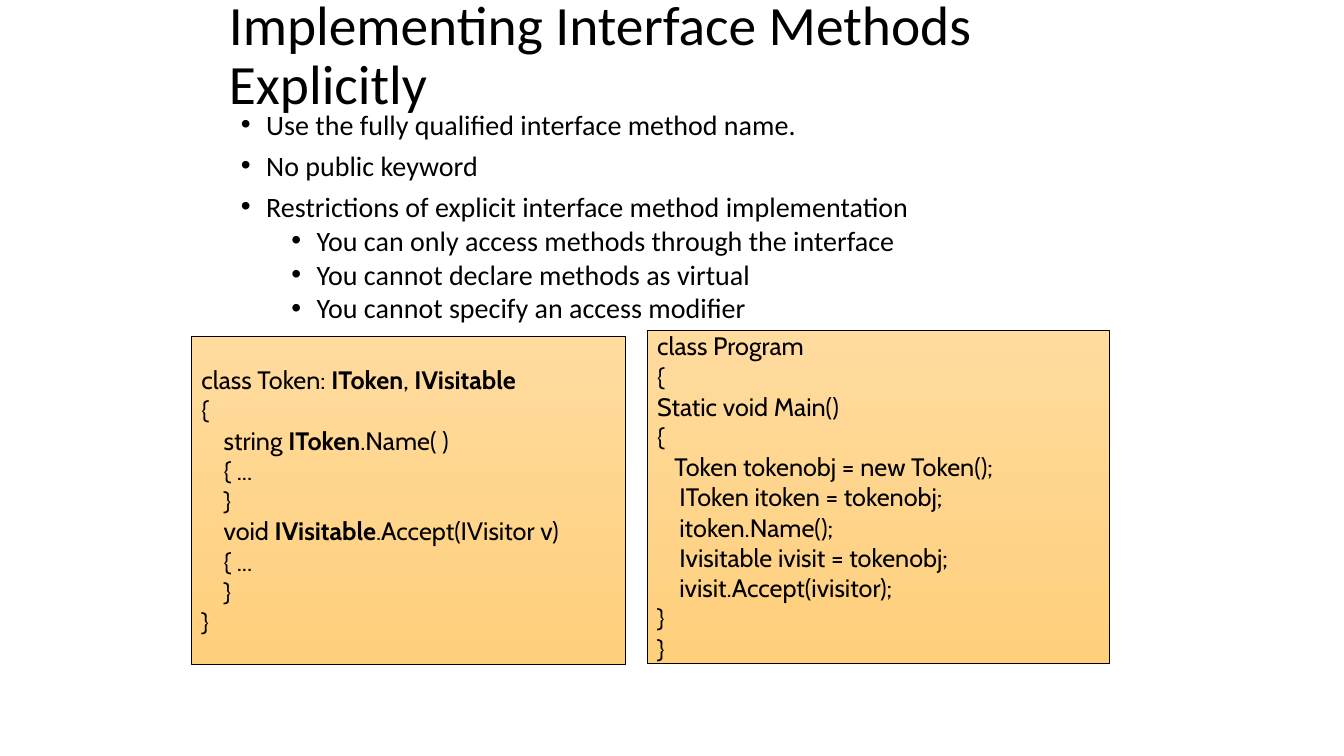
from dataclasses import dataclass

from lxml.etree import SubElement
from pptx import Presentation
from pptx.dml.color import RGBColor
from pptx.enum.shapes import MSO_SHAPE
from pptx.enum.text import MSO_ANCHOR, MSO_AUTO_SIZE, PP_ALIGN
from pptx.oxml.ns import qn
from pptx.util import Inches, Pt


@dataclass(frozen=True)
class Theme:
    ink: RGBColor = RGBColor(0, 0, 0)
    top: RGBColor = RGBColor(0xFF, 0xDB, 0x9E)
    base: RGBColor = RGBColor(0xFF, 0xD0, 0x7C)
    font: str = "Calibri"
    code: str = "Cabin"
    title: float = 39.6
    body: float = 20
    small: float = 18


THEME = Theme()
STEP = 0.22  # one level of code indent, in inches

TITLE = "Implementing Interface Methods Explicitly"

# Each point is (level, text)
POINTS = [
    (0, "Use the fully qualified interface method name."),
    (0, "No public keyword"),
    (0, "Restrictions of explicit interface method implementation"),
    (1, "You can only access methods through the interface"),
    (1, "You cannot declare methods as virtual"),
    (1, "You cannot specify an access modifier"),
]

# Each code line is (indent, text); text between asterisks is bold
TOKEN = [
    (0, "class Token: *IToken*, *IVisitable*"),
    (0, "{"),
    (STEP, "string *IToken*.Name( )"),
    (STEP, "{ ..."),
    (STEP, "}"),
    (STEP, "void *IVisitable*.Accept(IVisitor v)"),
    (STEP, "{ ..."),
    (STEP, "}"),
    (0, "}"),
]
PROGRAM = [
    (0, "class Program"),
    (0, "{"),
    (0, "Static void Main()"),
    (0, "{"),
    (0.17, "Token tokenobj = new Token();"),
    (STEP, "IToken itoken = tokenobj;"),
    (STEP, "itoken.Name();"),
    (STEP, "Ivisitable ivisit = tokenobj;"),
    (STEP, "ivisit.Accept(ivisitor);"),
    (0, "}"),
    (0, "}"),
]


def write(para, text, font=THEME.font, size=THEME.body, line=1.0,
          before=0, indent=0, hang=0, bullet=None):
    """Fill a paragraph with text and set its format."""
    para.alignment = PP_ALIGN.LEFT
    para.line_spacing = line
    para.space_before = Pt(before)
    props = para._p.get_or_add_pPr()
    props.set("marL", str(Inches(indent)))
    props.set("indent", str(Inches(-hang)))
    if bullet:
        SubElement(props, qn("a:buFont")).set("typeface", "Arial")
        SubElement(props, qn("a:buChar")).set("char", bullet)
    for i, part in enumerate(text.split("*")):
        if part:
            run = para.add_run()
            run.text = part
            run.font.name = font
            run.font.size = Pt(size)
            run.font.bold = i % 2 == 1
            run.font.color.rgb = THEME.ink


def place(shape, left, top, width, height, anchor):
    """Move a shape and return its text frame."""
    shape.left, shape.top = Inches(left), Inches(top)
    shape.width, shape.height = Inches(width), Inches(height)
    frame = shape.text_frame
    frame.word_wrap = True
    frame.auto_size = MSO_AUTO_SIZE.NONE
    frame.vertical_anchor = anchor
    return frame


def paras(frame, items):
    """Pair each item with a paragraph of the frame."""
    for i, item in enumerate(items):
        yield frame.add_paragraph() if i else frame.paragraphs[0], item


def add_title(slide):
    frame = place(slide.shapes.title, 2.17, 0.25, 9, 0.63, MSO_ANCHOR.MIDDLE)
    write(frame.paragraphs[0], TITLE, size=THEME.title, line=0.9)


def add_list(slide):
    frame = place(slide.placeholders[1], 2.29, 1.08, 8.52, 5.87,
                  MSO_ANCHOR.TOP)
    for para, (level, text) in paras(frame, POINTS):
        para.level = level
        write(para, text, line=0.8, before=5 if level else 10,
              indent=0.25 + 0.5 * level, hang=0.25, bullet="•")


def add_code(slide, lines, left, top, width, height):
    box = slide.shapes.add_shape(MSO_SHAPE.RECTANGLE, 0, 0, 0, 0)
    box.shadow.inherit = False
    # Gradient runs from top to bottom
    box.fill.gradient()
    box.fill.gradient_angle = 270
    for stop, color in zip(box.fill.gradient_stops, (THEME.top, THEME.base)):
        stop.color.rgb = color
    box.line.color.rgb = THEME.ink
    box.line.width = Pt(0.5)
    frame = place(box, left, top, width, height, MSO_ANCHOR.MIDDLE)
    for para, (indent, text) in paras(frame, lines):
        write(para, text, font=THEME.code, size=THEME.small, indent=indent)


def main():
    deck = Presentation()
    deck.slide_width, deck.slide_height = Inches(13.33), Inches(7.5)
    slide = deck.slides.add_slide(deck.slide_layouts[1])
    add_title(slide)
    add_list(slide)
    add_code(slide, TOKEN, 1.9, 3.34, 4.3, 3.25)
    add_code(slide, PROGRAM, 6.42, 3.28, 4.58, 3.3)
    deck.save("out.pptx")


if __name__ == "__main__":
    main()
